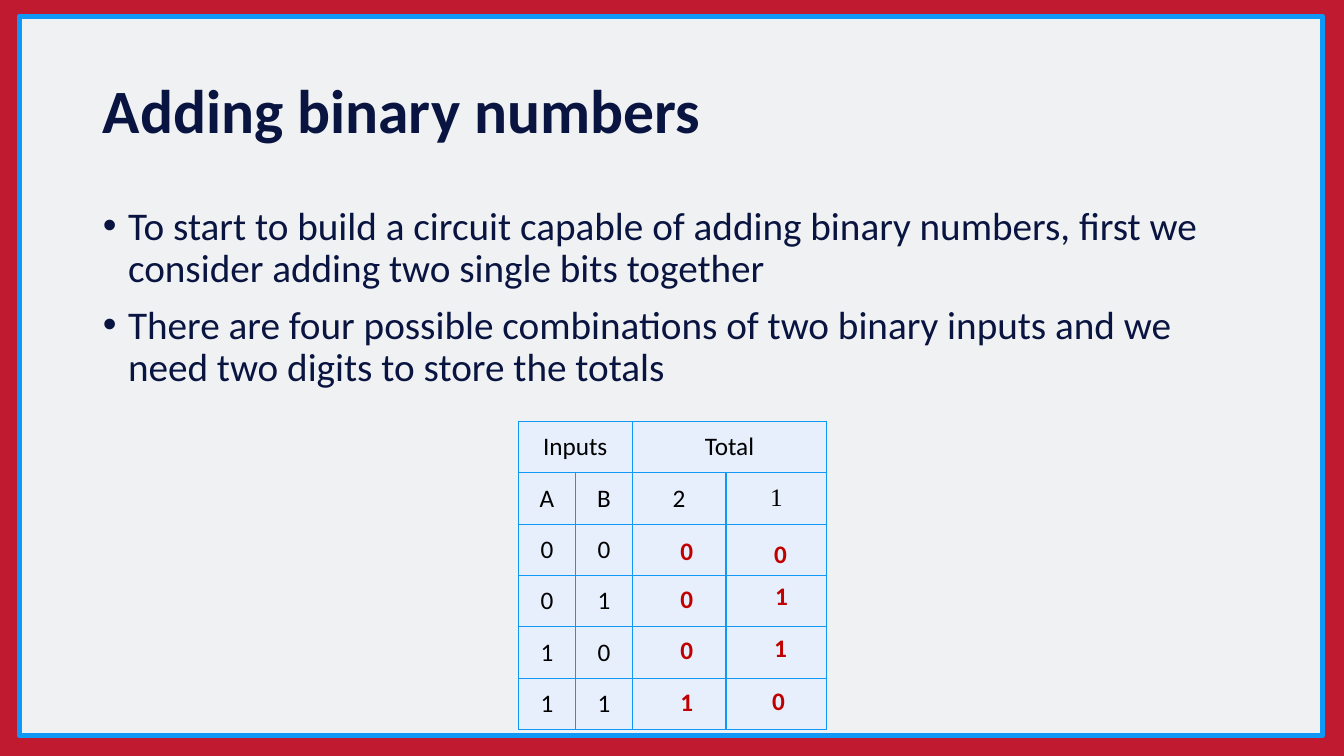
from lxml.etree import SubElement
from pptx import Presentation
from pptx.dml.color import RGBColor
from pptx.enum.shapes import MSO_SHAPE
from pptx.enum.text import MSO_ANCHOR, MSO_AUTO_SIZE, PP_ALIGN
from pptx.oxml import parse_xml
from pptx.oxml.ns import nsdecls, qn
from pptx.util import Inches, Pt

RED, PANEL, BLUE, NAVY = "BF1A2F", "EFF1F3", "1098F7", "091540"
CELL, BLACK, ANSWER = "E7EFFD", "000000", "C00000"

TITLE = "Adding binary numbers"
POINTS = [
    "To start to build a circuit capable of adding binary numbers, "
    "first we consider adding two single bits together",
    "There are four possible combinations of two binary inputs "
    "and we need two digits to store the totals",
]
TRUTH_TABLE = [
    ["Inputs", "", "Total", ""],
    ["A", "B", "2", "1"],
    ["0", "0", "", ""],
    ["0", "1", "", ""],
    ["1", "0", "", ""],
    ["1", "1", "", ""],
]
COLUMN_WIDTHS = [0.57, 0.56, 0.93, 1.0]
ROW_HEIGHT = 0.51
# Digit, left and top of each total laid over the table
ANSWERS = [
    ("0", 6.65, 5.26), ("0", 7.58, 5.29),
    ("0", 6.65, 5.74), ("1", 7.59, 5.71),
    ("0", 6.65, 6.24), ("1", 7.58, 6.22),
    ("1", 6.65, 6.76), ("0", 7.56, 6.75),
]


def paint(target, color):
    """Give a fill a solid colour."""
    target.solid()
    target.fore_color.rgb = RGBColor.from_string(color)


def style(para, size, color, bold=False, name="Calibri"):
    font = para.font
    font.name, font.size, font.bold = name, Pt(size), bold
    font.color.rgb = RGBColor.from_string(color)


def place(shape, left, top, width, height):
    shape.left, shape.top = Inches(left), Inches(top)
    shape.width, shape.height = Inches(width), Inches(height)


def add_panel(page):
    panel = page.shapes.add_shape(MSO_SHAPE.RECTANGLE, Inches(0.19), Inches(0.16),
                                  Inches(12.93), Inches(7.14))
    panel.shadow.inherit = False
    paint(panel.fill, PANEL)
    paint(panel.line.fill, BLUE)
    panel.line.width = Pt(3.5)
    # Send the panel behind the placeholders
    page.shapes._spTree.insert(2, panel._element)


def fill_title(page):
    title = page.shapes.title
    place(title, 0.92, 0.4, 11.5, 1.45)
    frame = title.text_frame
    frame.text = TITLE
    frame.vertical_anchor = MSO_ANCHOR.MIDDLE
    frame.auto_size = MSO_AUTO_SIZE.NONE
    para = frame.paragraphs[0]
    para.alignment = PP_ALIGN.LEFT
    para.line_spacing = 0.9
    style(para, 44, NAVY, bold=True)


def fill_body(page):
    body = page.placeholders[1]
    place(body, 0.92, 2, 11.5, 4.76)
    frame = body.text_frame
    frame.text = "\n".join(POINTS)
    frame.auto_size = MSO_AUTO_SIZE.NONE
    for para in frame.paragraphs:
        para.line_spacing = 0.9
        para.space_before = Pt(10)
        style(para, 28, NAVY)
        # Hanging bullet
        props = para._p.get_or_add_pPr()
        props.set("marL", str(Inches(0.25)))
        props.set("indent", str(Inches(-0.25)))
        bullet_font = parse_xml(f'<a:buFont {nsdecls("a")} typeface="Arial"/>')
        bullet = parse_xml(f'<a:buChar {nsdecls("a")} char="\u2022"/>')
        props.find(qn("a:spcBef")).addnext(bullet_font)
        bullet_font.addnext(bullet)


def add_borders(cell):
    props = cell._tc.get_or_add_tcPr()
    for index, side in enumerate(("lnL", "lnR", "lnT", "lnB")):
        line = parse_xml(f'<a:{side} {nsdecls("a")} w="{Pt(1)}"/>')
        solid = SubElement(line, qn("a:solidFill"))
        SubElement(solid, qn("a:srgbClr")).set("val", BLUE)
        props.insert(index, line)


def format_cell(cell, text, name):
    cell.text = text
    cell.vertical_anchor = MSO_ANCHOR.MIDDLE
    cell.margin_left = cell.margin_right = Inches(0.07)
    cell.margin_top = cell.margin_bottom = 0
    paint(cell.fill, CELL)
    add_borders(cell)
    para = cell.text_frame.paragraphs[0]
    para.alignment = PP_ALIGN.CENTER
    style(para, 18, BLACK, name=name)


def add_truth_table(page):
    rows, columns = len(TRUTH_TABLE), len(COLUMN_WIDTHS)
    table = page.shapes.add_table(rows, columns, Inches(5.14), Inches(4.18),
                                  Inches(sum(COLUMN_WIDTHS)),
                                  Inches(rows * ROW_HEIGHT)).table
    table.first_row = table.horz_banding = False
    for column, width in zip(table.columns, COLUMN_WIDTHS):
        column.width = Inches(width)
    for r, texts in enumerate(TRUTH_TABLE):
        table.rows[r].height = Inches(ROW_HEIGHT)
        for c, text in enumerate(texts):
            name = "Times New Roman" if (r, c) == (1, 3) else "Calibri"
            format_cell(table.cell(r, c), text, name)
    # Each heading spans two columns
    for c in (0, 2):
        table.cell(0, c).merge(table.cell(0, c + 1))


def add_answer(page, digit, left, top):
    box = page.shapes.add_textbox(Inches(left), Inches(top), Inches(0.33), Inches(0.4))
    frame = box.text_frame
    frame.text = digit
    frame.word_wrap = False
    frame.auto_size = MSO_AUTO_SIZE.SHAPE_TO_FIT_TEXT
    style(frame.paragraphs[0], 18, ANSWER, bold=True)


def main():
    deck = Presentation()
    deck.slide_width, deck.slide_height = Inches(13.33), Inches(7.5)
    page = deck.slides.add_slide(deck.slide_layouts[1])
    paint(page.background.fill, RED)
    add_panel(page)
    fill_title(page)
    fill_body(page)
    add_truth_table(page)
    for digit, left, top in ANSWERS:
        add_answer(page, digit, left, top)
    deck.save("out.pptx")


main()
